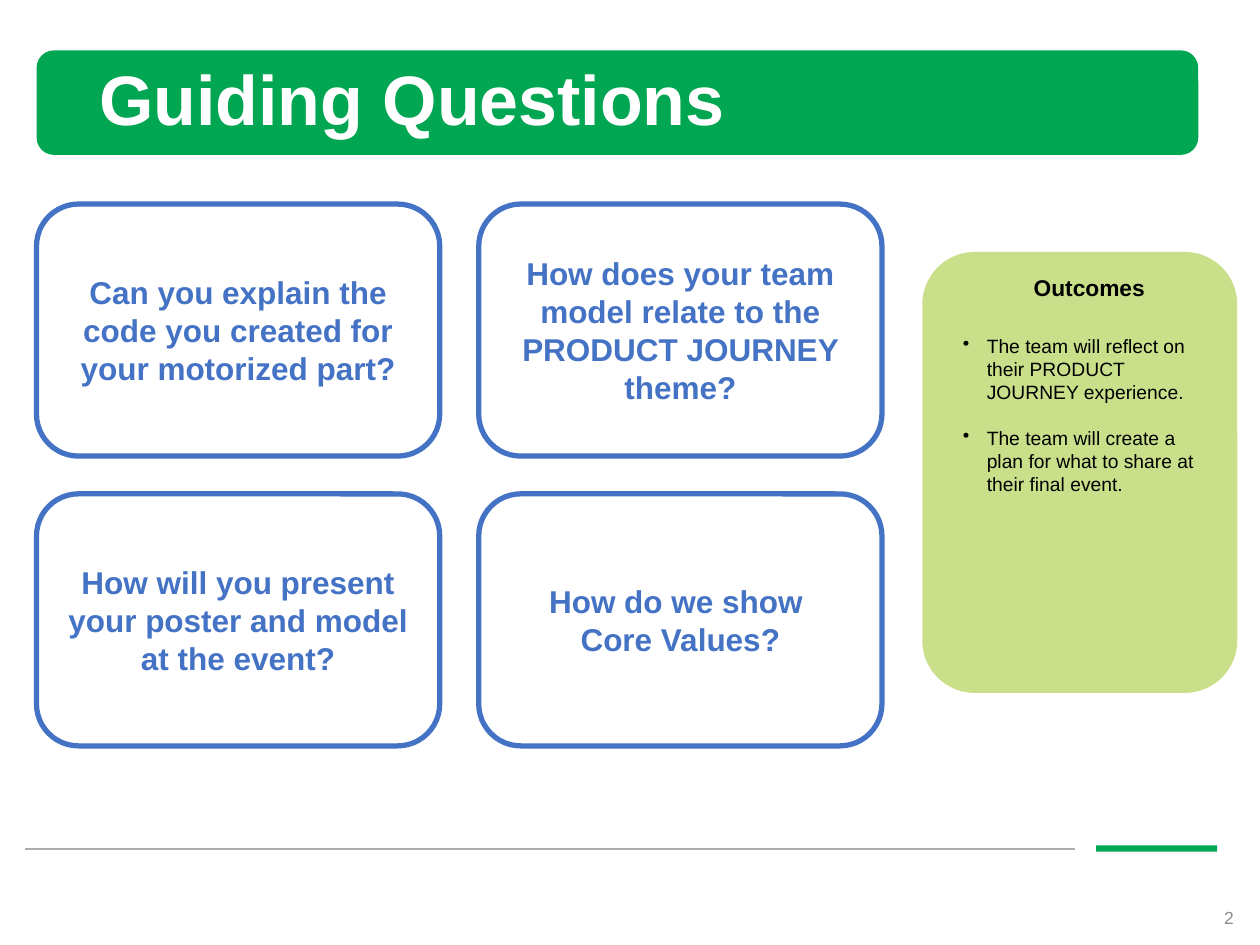
import pptx
import pptx.util
import pptx.dml.color
import pptx.enum.shapes
import pptx.enum.text
import pptx.oxml.ns
from lxml import etree

Inches, Pt = pptx.util.Inches, pptx.util.Pt
SHAPE = pptx.enum.shapes.MSO_SHAPE
ALIGN = pptx.enum.text.PP_ALIGN
ANCHOR = pptx.enum.text.MSO_ANCHOR

COLORS = {
    "green": "00A651", "lime": "C9DF89", "blue": "4472C4", "white": "FFFFFF",
    "black": "000000", "rule": "AFABAB", "number": "8C8C8C",
}

# A newline is a line break.
TITLE = "Guiding Questions"
QUESTIONS = [
    ["Can you explain the code you created for your motorized part?",
     "How does your team model relate to the PRODUCT JOURNEY theme?"],
    ["How will you present your poster and model at the event?",
     "How do we show \nCore Values?"],
]
OUTCOMES_HEADING = "Outcomes"
OUTCOMES = [
    "The team will reflect on their PRODUCT JOURNEY experience.",
    "The team will create a plan for what to share at their final event.",
]
PAGE_NUMBER = "2"

CARD_LEFT, CARD_TOP = 0.29, 1.62
CARD_WIDTH, CARD_HEIGHT = 3.2, 2
COLUMN_STEP, ROW_STEP = 3.51, 2.3


def rgb(name):
    return pptx.dml.color.RGBColor.from_string(COLORS[name])


def add_box(slide, kind, left, top, width, height, fill, line=None):
    shape = slide.shapes.add_shape(
        kind, Inches(left), Inches(top), Inches(width), Inches(height))
    shape.shadow.inherit = False
    shape.fill.solid()
    shape.fill.fore_color.rgb = rgb(fill)
    if line:
        shape.line.color.rgb = rgb(line)
        shape.line.width = Pt(3)
    else:
        shape.line.fill.background()
    return shape


def add_label(slide, left, top, width, height):
    return slide.shapes.add_textbox(
        Inches(left), Inches(top), Inches(width), Inches(height))


def add_bullet(paragraph):
    properties = paragraph._p.get_or_add_pPr()
    properties.set("marL", str(Inches(0.19)))
    properties.set("indent", str(-Inches(0.19)))
    bullet = etree.SubElement(properties, pptx.oxml.ns.qn("a:buChar"))
    bullet.set("char", "•")


def write(shape, text, size, color, bold=False, align=ALIGN.LEFT,
          anchor=ANCHOR.MIDDLE, bullet=False, append=False,
          space_after=0, line_spacing=None):
    frame = shape.text_frame
    frame.word_wrap = True
    frame.vertical_anchor = anchor
    paragraph = frame.add_paragraph() if append else frame.paragraphs[0]
    paragraph.alignment = align
    paragraph.space_after = Pt(space_after)
    if line_spacing:
        paragraph.line_spacing = line_spacing
    if bullet:
        add_bullet(paragraph)
    for number, line in enumerate(text.split("\n")):
        if number:
            paragraph.add_line_break()
        run = paragraph.add_run()
        run.text = line
        run.font.name = "Arial"
        run.font.size = Pt(size)
        run.font.bold = bold
        run.font.color.rgb = rgb(color)


def add_footer(slide):
    add_box(slide, SHAPE.RECTANGLE, 8.7, 6.71, 0.96, 0.05, "green")
    rule = slide.shapes.add_connector(
        pptx.enum.shapes.MSO_CONNECTOR.STRAIGHT,
        Inches(0.2), Inches(6.74), Inches(8.53), Inches(6.74))
    rule.line.color.rgb = rgb("rule")
    rule.line.width = Pt(1)
    etree.SubElement(rule._element.spPr, pptx.oxml.ns.qn("a:effectLst"))
    write(add_label(slide, 9.5, 7.17, 0.39, 0.23), PAGE_NUMBER, 10, "number",
          align=ALIGN.RIGHT)


def add_outcomes(slide):
    panel = add_box(slide, SHAPE.ROUNDED_RECTANGLE, 7.32, 2, 2.5, 3.5, "lime")
    frame = panel.text_frame
    frame.margin_left, frame.margin_top = Inches(0.2), Inches(0.05)
    frame.margin_right, frame.margin_bottom = Inches(0.05), Inches(0.1)
    write(panel, OUTCOMES_HEADING, 13, "black", bold=True, align=ALIGN.CENTER,
          anchor=ANCHOR.TOP, space_after=19)
    for outcome in OUTCOMES:
        write(panel, outcome, 11, "black", anchor=ANCHOR.TOP, bullet=True,
              append=True, space_after=13)


def main():
    presentation = pptx.Presentation()
    presentation.slide_width, presentation.slide_height = Inches(10), Inches(7.5)
    slide = presentation.slides.add_slide(presentation.slide_layouts[6])

    add_footer(slide)
    add_box(slide, SHAPE.ROUNDED_RECTANGLE, 0.29, 0.4, 9.22, 0.83, "green")
    write(add_label(slide, 0.69, 0.4, 8.62, 0.83), TITLE, 40, "white",
          bold=True, line_spacing=0.9)
    add_outcomes(slide)
    for row, questions in enumerate(QUESTIONS):
        for column, question in enumerate(questions):
            card = add_box(slide, SHAPE.ROUNDED_RECTANGLE,
                           CARD_LEFT + column * COLUMN_STEP,
                           CARD_TOP + row * ROW_STEP,
                           CARD_WIDTH, CARD_HEIGHT, "white", line="blue")
            write(card, question, 18, "blue", bold=True, align=ALIGN.CENTER)

    presentation.save("out.pptx")


if __name__ == "__main__":
    main()
